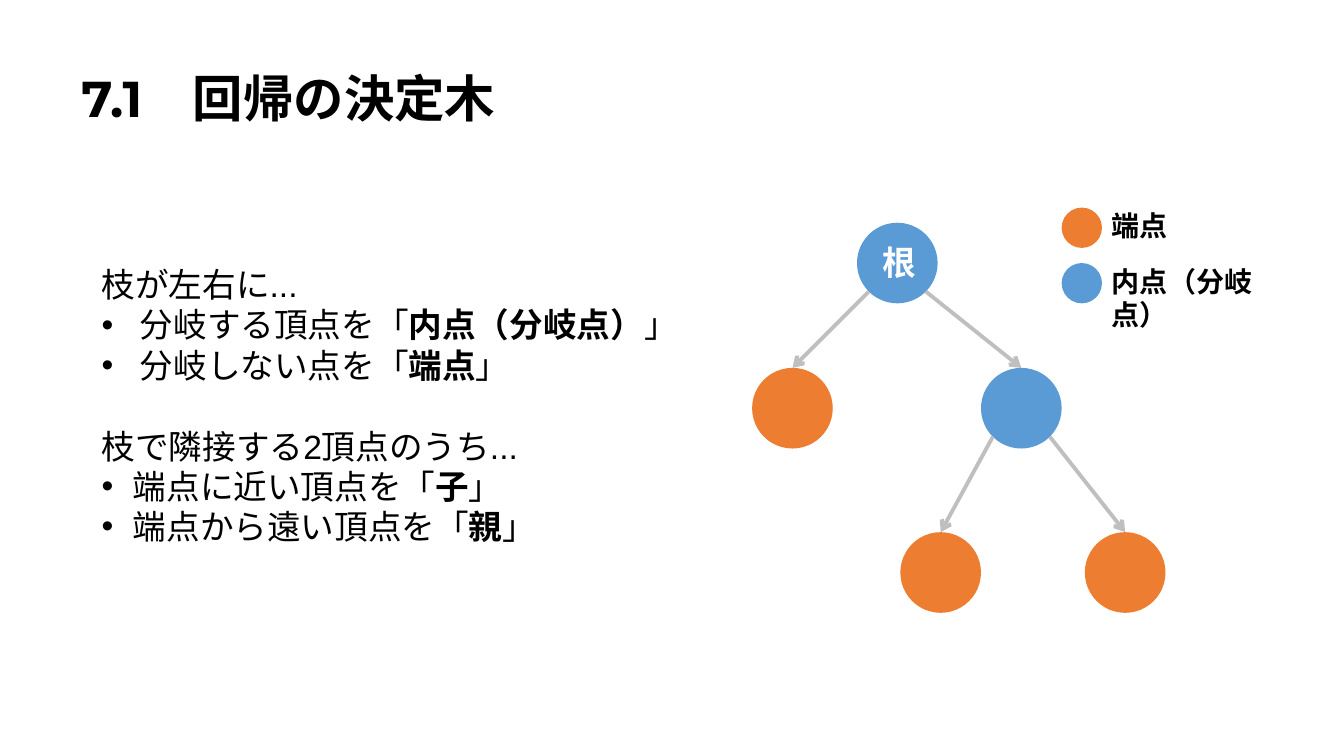
"""Build the slide on decision trees for regression."""
from pptx import Presentation
from pptx.dml.color import RGBColor
from pptx.enum.shapes import MSO_CONNECTOR, MSO_SHAPE
from pptx.enum.text import MSO_ANCHOR
from pptx.util import Inches, Pt
from lxml.etree import SubElement
from pptx.oxml.ns import qn

COLORS = {"inner": "5B9BD5", "leaf": "ED7D31", "edge": "BFBFBF",
          "text": "000000", "root": "FFFFFF"}

deck = Presentation()
deck.slide_width, deck.slide_height = Inches(13.33), Inches(7.5)
slide = deck.slides.add_slide(deck.slide_layouts[6])
shapes = slide.shapes


def add_text(box, lines, size, color="text", font="Arial", wrap=True):
    """Add a text box; each line holds its runs, indent and space before."""
    frame = shapes.add_textbox(*map(Inches, box)).text_frame
    frame.word_wrap = wrap
    for i, (runs, indent, gap) in enumerate(lines):
        para = frame.add_paragraph() if i else frame.paragraphs[0]
        para.space_before = Pt(gap)
        if indent:
            props = para._p.get_or_add_pPr()
            props.set("marL", str(Inches(indent)))
            props.set("indent", str(-Inches(indent)))
            SubElement(props, qn("a:buFont")).set("typeface", "Arial")
            SubElement(props, qn("a:buChar")).set("char", "•")
        for words, bold in runs:
            run = para.add_run()
            run.text = words
            run.font.name, run.font.size, run.font.bold = font, Pt(size), bold
            run.font.color.rgb = RGBColor.from_string(COLORS[color])
    return frame


def add_dot(x, y, radius, kind):
    """Add a filled circle around a centre."""
    side = Inches(2 * radius)
    dot = shapes.add_shape(MSO_SHAPE.OVAL, Inches(x - radius), Inches(y - radius), side, side)
    dot.shadow.inherit = False
    dot.fill.solid()
    dot.fill.fore_color.rgb = RGBColor.from_string(COLORS[kind])
    dot.line.fill.background()


title = add_text((0.71, 0.28, 11.5, 1.45), [([("7.1　回帰の決定木", True)], 0, 0)],
                 36, font="Montserrat")
title.vertical_anchor = MSO_ANCHOR.MIDDLE
title.paragraphs[0].line_spacing = 0.9

radius = 0.4
nodes = {
    "root": (8.9, 2.61, "inner"),
    "left": (7.86, 4.05, "leaf"),
    "right": (10.13, 4.05, "inner"),
    "near": (9.33, 5.68, "leaf"),
    "far": (11.16, 5.68, "leaf"),
}
for x, y, kind in nodes.values():
    add_dot(x, y, radius, kind)

edges = [("root", "left"), ("root", "right"), ("right", "near"), ("right", "far")]
reach = radius * 0.5 ** 0.5
for top, child in edges:
    x, y, _ = nodes[top]
    end, low, _ = nodes[child]
    start = x + (reach if end > x else -reach)
    edge = shapes.add_connector(MSO_CONNECTOR.STRAIGHT, Inches(start), Inches(y + reach),
                                Inches(end), Inches(low - radius))
    edge.line.color.rgb = RGBColor.from_string(COLORS["edge"])
    edge.line.width = Pt(2.75)
    SubElement(edge.line._get_or_add_ln(), qn("a:tailEnd")).set("type", "arrow")
    SubElement(edge._element.spPr, qn("a:effectLst"))

add_text((8.65, 2.35, 0.53, 0.5), [([("根", True)], 0, 0)], 24, "root", wrap=False)

legend = [("leaf", "端点"), ("inner", "内点（分岐点）")]
for i, (kind, label) in enumerate(legend):
    y = 2.26 + 0.55 * i
    add_dot(10.73, y, radius / 2, kind)
    add_text((10.93, y - 0.24, 1.75, 0.44), [([(label, True)], 0, 0)], 20)

notes = [
    ([("枝が左右に...", False)], 0, 0),
    ([("分岐する頂点を「", False), ("内点（分岐点）", True), ("」", False)], 0.38, 0),
    ([("分岐しない点を「", False), ("端点", True), ("」", False)], 0.38, 0),
    ([("枝で隣接する2頂点のうち...", False)], 0, 29),
    ([("端点に近い頂点を「", False), ("子", True), ("」", False)], 0.31, 0),
    ([("端点から遠い頂点を「", False), ("親", True), ("」", False)], 0.31, 0),
]
add_text((0.91, 2.57, 6.2, 2.93), notes, 24)

deck.save("out.pptx")
